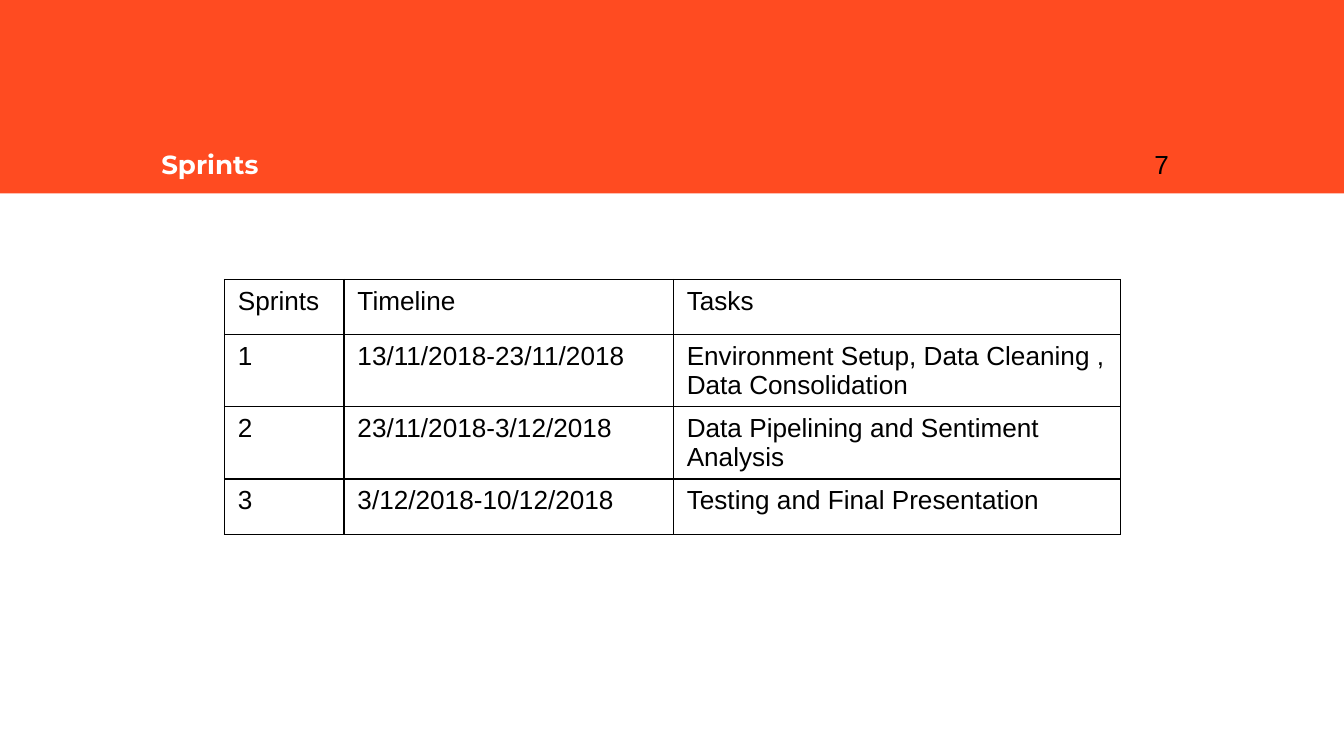
from lxml import etree
from pptx import Presentation
from pptx.dml.color import RGBColor
from pptx.enum.shapes import MSO_SHAPE
from pptx.enum.text import MSO_ANCHOR, MSO_AUTO_SIZE, PP_ALIGN
from pptx.oxml.ns import qn
from pptx.util import Inches, Pt

RECTANGLE = MSO_SHAPE.RECTANGLE
LEFT = PP_ALIGN.LEFT
TOP, BOTTOM = MSO_ANCHOR.TOP, MSO_ANCHOR.BOTTOM
NO_FIT = MSO_AUTO_SIZE.NONE

# Content
TITLE = "Sprints"
PAGE_NUMBER = "7"
SPRINT_ROWS = [
    ("Sprints", "Timeline", "Tasks"),
    ("1", "13/11/2018-23/11/2018",
     "Environment Setup, Data Cleaning , Data Consolidation"),
    ("2", "23/11/2018-3/12/2018", "Data Pipelining and Sentiment Analysis"),
    ("3", "3/12/2018-10/12/2018", "Testing and Final Presentation"),
]

# Layout and colours
SLIDE_WIDTH = 10
SLIDE_HEIGHT = SLIDE_WIDTH * 9 / 16
BAND_HEIGHT = 1.44
HEADER_TOP, HEADER_HEIGHT = 0.71, 0.73
TABLE_LEFT, TABLE_TOP = 1.67, 2.08
COLUMN_WIDTHS = (0.89, 2.45, 3.33)
ROW_HEIGHT = 0.41
ORANGE, WHITE, BLACK = "FF4B21", "FFFFFF", "000000"
BORDER_WIDTH = 0.75


def color(hex_value):
    return RGBColor.from_string(hex_value)


def write_text(frame, text, font="Arial", size=14, fill=BLACK, bold=False):
    paragraph = frame.paragraphs[0]
    paragraph.alignment = LEFT
    run = paragraph.add_run()
    run.text = text
    run.font.name = font
    run.font.size = Pt(size)
    run.font.bold = bold
    run.font.color.rgb = color(fill)


def format_header_frame(frame):
    frame.word_wrap = True
    frame.auto_size = NO_FIT
    frame.vertical_anchor = BOTTOM
    frame.margin_left = frame.margin_right = Inches(0.1)
    frame.margin_top = frame.margin_bottom = Inches(0.1)


def add_borders(cell):
    properties = cell._tc.get_or_add_tcPr()
    for position, side in enumerate(("lnL", "lnR", "lnT", "lnB")):
        line = etree.Element(qn(f"a:{side}"), w=str(Pt(BORDER_WIDTH)))
        fill = etree.SubElement(line, qn("a:solidFill"))
        etree.SubElement(fill, qn("a:srgbClr"), val=BLACK)
        properties.insert(position, line)


presentation = Presentation()
presentation.slide_width = Inches(SLIDE_WIDTH)
presentation.slide_height = Inches(SLIDE_HEIGHT)
slide = presentation.slides.add_slide(presentation.slide_layouts[5])

# Orange band, sent behind the title
band = slide.shapes.add_shape(
    RECTANGLE, 0, 0, Inches(SLIDE_WIDTH), Inches(BAND_HEIGHT))
band.shadow.inherit = False
band.fill.solid()
band.fill.fore_color.rgb = color(ORANGE)
band.line.fill.background()
slide.shapes.title._element.addprevious(band._element)

# Title and page number
title = slide.shapes.title
title.left, title.top = Inches(1.1), Inches(HEADER_TOP)
title.width, title.height = Inches(7.8), Inches(HEADER_HEIGHT)
format_header_frame(title.text_frame)
write_text(title.text_frame, TITLE, font="Montserrat", fill=WHITE, bold=True)

page_number = slide.shapes.add_textbox(
    Inches(8.49), Inches(HEADER_TOP), Inches(0.6), Inches(HEADER_HEIGHT))
format_header_frame(page_number.text_frame)
write_text(page_number.text_frame, PAGE_NUMBER)

# Sprint table
table = slide.shapes.add_table(
    len(SPRINT_ROWS), len(COLUMN_WIDTHS), Inches(TABLE_LEFT), Inches(TABLE_TOP),
    Inches(sum(COLUMN_WIDTHS)), Inches(ROW_HEIGHT * len(SPRINT_ROWS))).table
table.first_row = table.horz_banding = False
for column, width in zip(table.columns, COLUMN_WIDTHS):
    column.width = Inches(width)
for row, texts in zip(table.rows, SPRINT_ROWS):
    row.height = Inches(ROW_HEIGHT)
    for cell, text in zip(row.cells, texts):
        cell.fill.background()
        cell.vertical_anchor = TOP
        add_borders(cell)
        write_text(cell.text_frame, text)

presentation.save("out.pptx")
